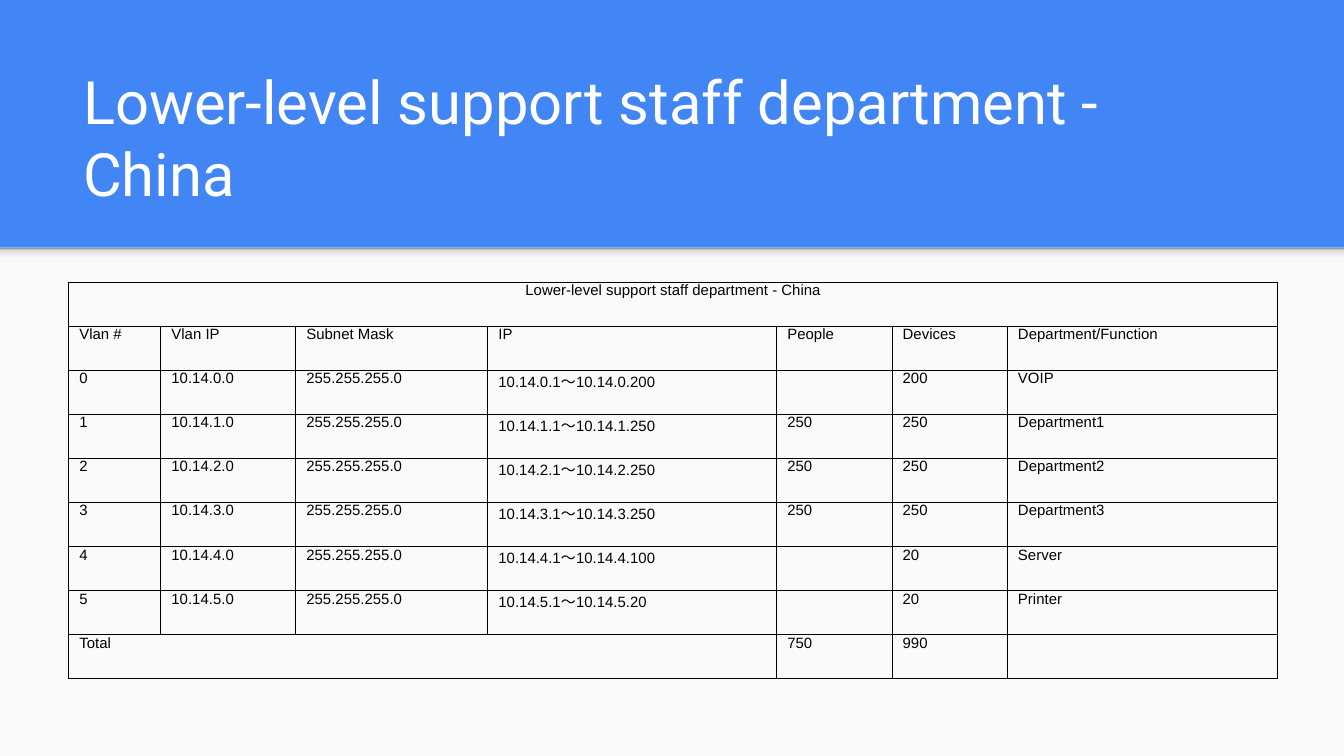
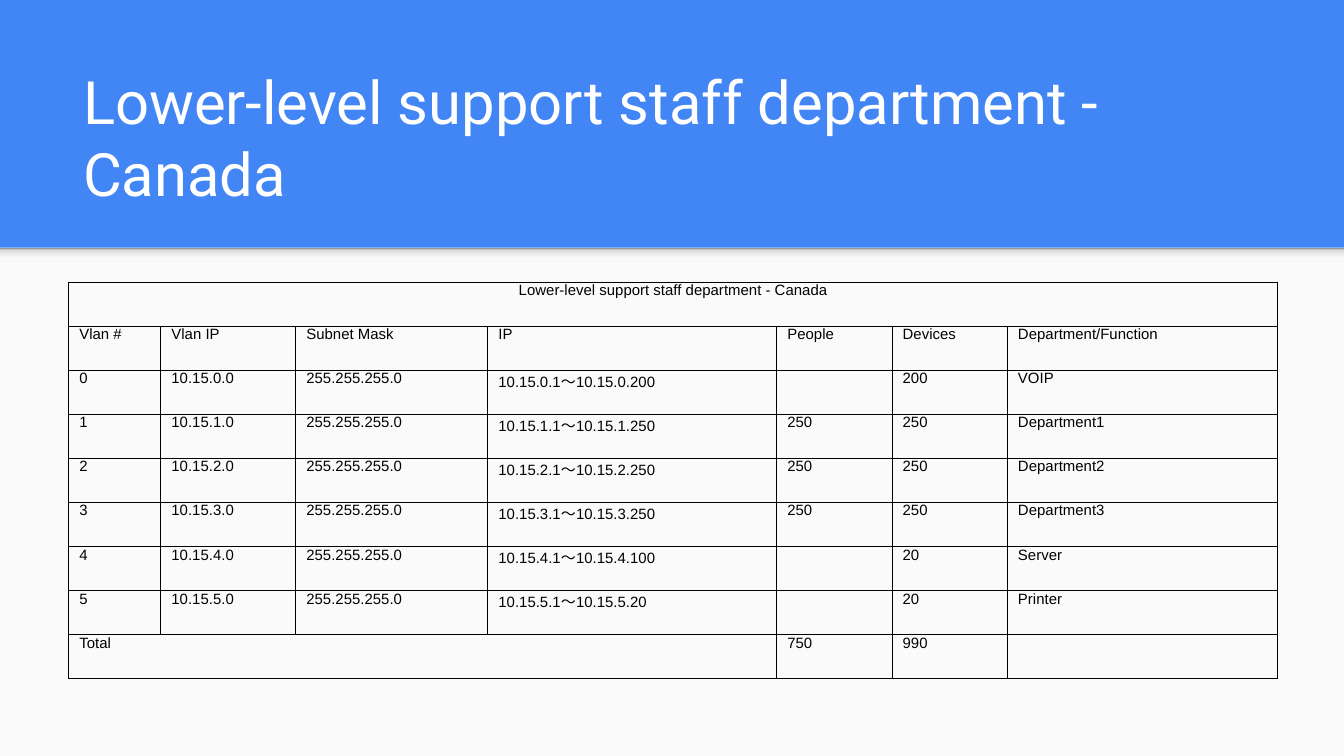
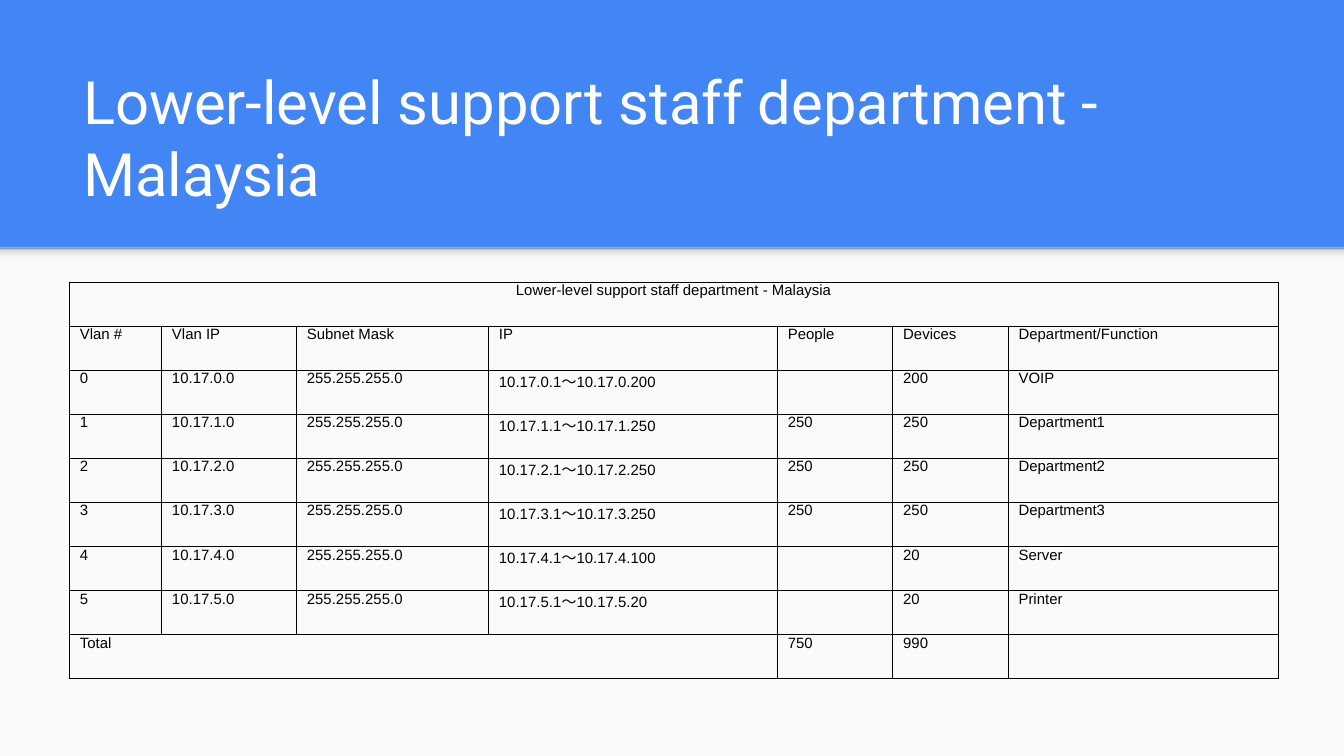
from lxml.etree import SubElement
from pptx import Presentation
from pptx.dml.color import RGBColor
from pptx.enum.shapes import MSO_SHAPE
from pptx.enum.text import MSO_ANCHOR, MSO_AUTO_SIZE, PP_ALIGN
from pptx.oxml.ns import qn
from pptx.util import Cm, Pt

COLORS = {"blue": "4285F4", "panel": "FAFAFA", "white": "FFFFFF", "black": "000000"}
SHADOW_STOPS = [(0, "F9F9F9"), (36, "F9F9F9"), (80, "DEDEDE"), (100, "999999")]
WIDTH, HEIGHT, BAND = Cm(25.4), Cm(14.29), Cm(4.68)

HEADER = ["Vlan #", "Vlan IP", "Subnet Mask", "IP", "People", "Devices", "Department/Function"]
COL_WIDTHS = [1.74, 2.55, 3.63, 5.46, 2.18, 2.18, 5.11]
# last host address, people, devices, function
VLANS = [
    (200, "", 200, "VOIP"),
    (250, 250, 250, "Department1"),
    (250, 250, 250, "Department2"),
    (250, 250, 250, "Department3"),
    (100, "", 20, "Server"),
    (20, "", 20, "Printer"),
]
SITES = [("China", 14, 1.3), ("Canada", 15, 1.3), ("Malaysia", 17, 1.31)]


def rgb(name):
    return RGBColor.from_string(COLORS[name])


def write(tf, text, font="Arial", size=8, color="black", align=PP_ALIGN.LEFT):
    p = tf.paragraphs[0]
    p.alignment = align
    r = p.add_run()
    r.text = str(text)
    r.font.name, r.font.size = font, Pt(size)
    r.font.color.rgb = rgb(color)


def add_borders(cell, color="black", width=0.5):
    tc_pr = cell._tc.get_or_add_tcPr()
    for side in ("lnL", "lnR", "lnT", "lnB"):
        ln = SubElement(tc_pr, qn(f"a:{side}"), w=str(Pt(width)))
        fill = SubElement(ln, qn("a:solidFill"))
        SubElement(fill, qn("a:srgbClr"), val=COLORS[color])


def vlan_rows(net):
    """Header, one row per VLAN, and the totals."""
    rows = [HEADER]
    for i, (last, people, devices, function) in enumerate(VLANS):
        subnet = f"10.{net}.{i}"
        rows.append([i, f"{subnet}.0", "255.255.255.0", f"{subnet}.1～{subnet}.{last}",
                     people, devices, function])
    people = sum(v[1] or 0 for v in VLANS)
    devices = sum(v[2] for v in VLANS)
    return rows + [["Total", "", "", "", people, devices, ""]]


class Deck:
    def __init__(self):
        self.prs = Presentation()
        self.prs.slide_width, self.prs.slide_height = WIDTH, HEIGHT
        fill = self.prs.slide_master.background.fill
        fill.solid()
        fill.fore_color.rgb = rgb("blue")

    def slide(self, title):
        self.s = self.prs.slides.add_slide(self.prs.slide_layouts[5])
        self.panel()
        self.shadow()
        self.title(title)

    def rect(self, top, height):
        sp = self.s.shapes.add_shape(MSO_SHAPE.RECTANGLE, 0, top, WIDTH, height)
        sp.shadow.inherit = False
        sp.line.fill.background()
        return sp

    def panel(self):
        sp = self.rect(BAND, HEIGHT - BAND)
        sp.fill.solid()
        sp.fill.fore_color.rgb = rgb("panel")

    def shadow(self):
        sp = self.rect(BAND, Cm(0.3))
        sp.fill.gradient()
        sp.fill.gradient_angle = 90
        stops = sp._element.spPr.find(f".//{qn('a:gsLst')}")
        stops.clear()
        for pos, color in SHADOW_STOPS:
            gs = SubElement(stops, qn("a:gs"), pos=str(pos * 1000))
            SubElement(gs, qn("a:srgbClr"), val=color)

    def title(self, text):
        sp = self.s.shapes.title
        sp.left, sp.top, sp.width, sp.height = Cm(1.32), Cm(2.06), Cm(22.83), Cm(2.13)
        tf = sp.text_frame
        tf.word_wrap, tf.auto_size = True, MSO_AUTO_SIZE.NONE
        tf.vertical_anchor = MSO_ANCHOR.BOTTOM
        tf.margin_left = tf.margin_right = tf.margin_top = tf.margin_bottom = Cm(0.25)
        write(tf, text, font="Roboto", size=32, color="white")

    def table(self, caption, rows, left):
        rows = [[caption] + [""] * (len(HEADER) - 1)] + rows
        table = self.s.shapes.add_table(len(rows), len(HEADER), Cm(left), Cm(5.33),
                                        Cm(sum(COL_WIDTHS)), Cm(7.5)).table
        table.first_row = table.horz_banding = False
        for col, width in zip(table.columns, COL_WIDTHS):
            col.width = Cm(width)
        for i, row in enumerate(rows):
            for j, value in enumerate(row):
                cell = table.cell(i, j)
                cell.margin_left = cell.margin_right = Cm(0.2)
                cell.margin_top = cell.margin_bottom = 0
                add_borders(cell)
                cell.fill.background()
                if value != "":
                    write(cell.text_frame, value,
                          align=PP_ALIGN.LEFT if i else PP_ALIGN.CENTER)
        table.cell(0, 0).merge(table.cell(0, len(HEADER) - 1))
        table.cell(len(rows) - 1, 0).merge(table.cell(len(rows) - 1, 3))


def main():
    deck = Deck()
    for site, net, left in SITES:
        name = f"Lower-level support staff department - {site}"
        deck.slide(name)
        deck.table(name, vlan_rows(net), left)
    deck.prs.save("out.pptx")


if __name__ == "__main__":
    main()
